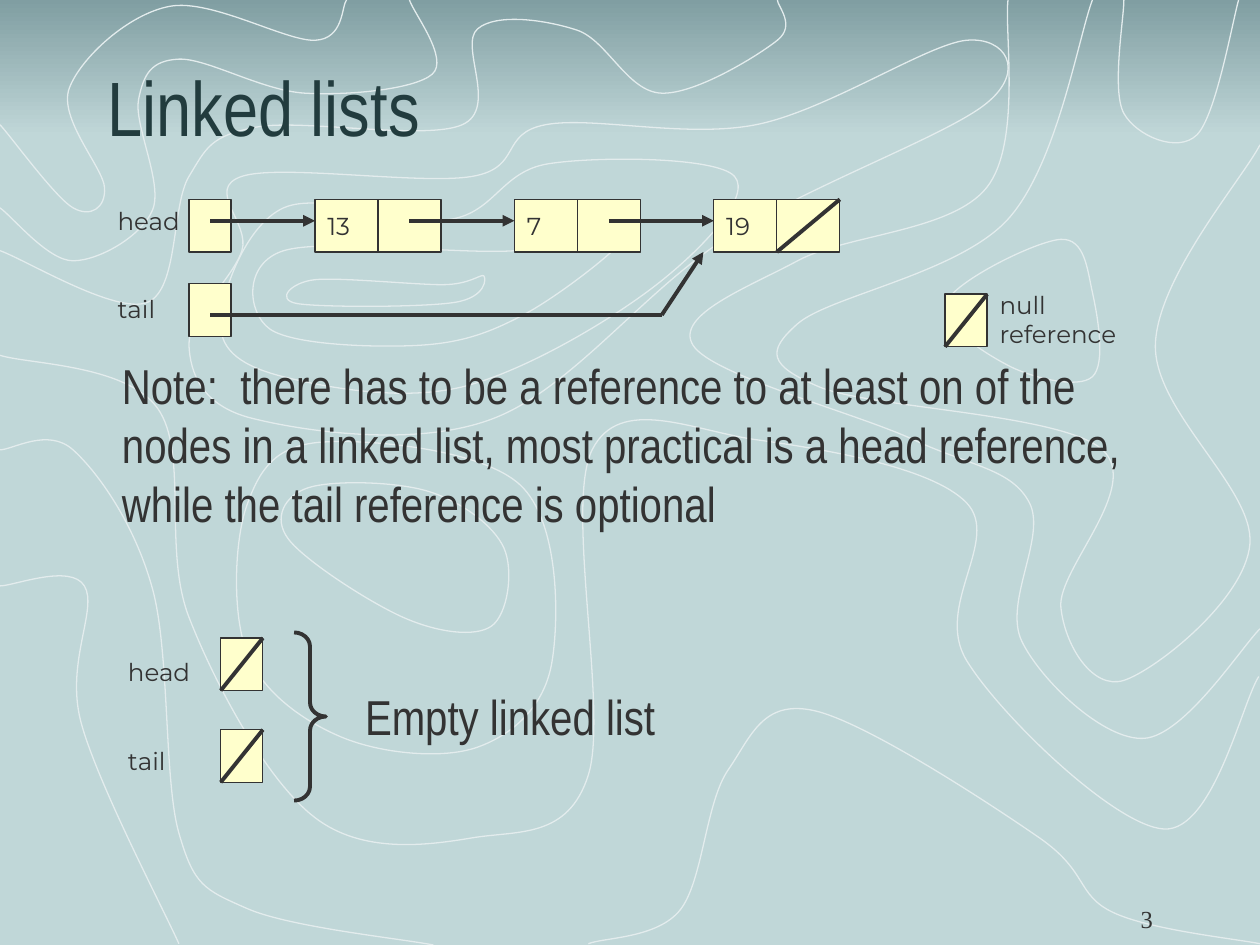
from pptx import Presentation
from pptx.dml.color import RGBColor
from pptx.enum.shapes import MSO_CONNECTOR, MSO_SHAPE
from pptx.enum.text import MSO_ANCHOR, MSO_AUTO_SIZE, PP_ALIGN
from pptx.oxml.ns import qn
from pptx.oxml.xmlchemy import OxmlElement
from pptx.util import Cm, Pt

BACKGROUND = RGBColor(0xC0, 0xD7, 0xD8)
BAND_TOP = RGBColor(0x80, 0x9E, 0xA2)
CONTOUR = RGBColor(0xE3, 0xEC, 0xED)
TITLE = RGBColor(0x22, 0x3C, 0x3E)
INK = RGBColor(0x33, 0x33, 0x33)
CELL = RGBColor(0xFF, 0xFF, 0xCC)

LABEL_FONT, BODY_FONT, NUMBER_FONT = "Montserrat", "Arial Narrow", "Times New Roman"
THIN, THICK = Pt(0.75), Pt(2.25)

# Diagram grid, in centimetres
CELL_WIDTH, CELL_HEIGHT = 0.85, 1.06
NODE_WIDTH, NODE_STEP = 2.54, 4.02
NODE_LEFT, NODE_TOP = 6.35, 4.02
REFERENCE_LEFT, TAIL_TOP = 3.81, 5.72
ARROW_Y, TAIL_Y = 4.45, 6.35

# Points that the smooth contours run through, in units of 0.25 mm
CONTOUR_UNIT = Cm(0.0254)
OPEN_CONTOURS = (
    ((0, 199), (117, 240), (150, 140), (203, 101), (367, 99), (379, 23), (458, 24), (525, 74), (617, 32), (617, 0)),
    ((0, 165), (58, 207), (121, 167), (110, 79), (142, 47), (242, 74), (343, 59), (325, 0)),
    ((0, 99), (58, 165), (83, 149), (55, 70), (135, 5), (250, 32), (275, 0)),
    ((0, 282), (125, 324), (150, 490), (250, 649), (375, 665), (467, 615), (470, 357), (600, 349), (767, 399),
     (767, 524), (924, 658), (999, 537)),
    ((800, 0), (783, 149), (633, 207), (550, 274), (725, 349), (817, 399), (811, 509), (908, 586), (1000, 499)),
    ((867, 0), (800, 174), (633, 257), (650, 307), (875, 357), (842, 482), (892, 540), (992, 432), (917, 274),
     (1000, 115)),
    ((892, 0), (892, 90), (950, 107), (983, 0)),
    ((0, 357), (58, 357), (121, 467), (142, 661), (196, 721), (344, 750)),
    ((0, 465), (67, 465), (64, 572), (142, 749)),
    ((467, 749), (540, 722), (578, 611), (646, 564), (825, 665), (883, 724), (1000, 749)),
)
CLOSED_CONTOURS = (
    ((192, 199), (192, 140), (375, 140), (433, 99), (600, 99), (767, 32), (783, 82), (575, 190), (392, 332),
     (200, 332), (150, 274)),
    ((175, 257), (225, 165), (358, 174), (435, 130), (583, 140), (521, 226), (367, 307), (225, 299)),
    ((214, 261), (225, 199), (408, 199), (500, 182), (417, 249), (333, 274)),
    ((236, 241), (250, 222), (351, 226), (384, 219), (361, 240)),
    ((254, 351), (196, 401), (196, 518), (271, 585), (379, 593), (438, 526), (413, 385)),
    ((229, 428), (245, 387), (340, 390), (400, 435), (390, 497), (320, 490)),
    ((867, 232), (842, 190), (751, 240), (800, 290), (867, 299)),
)


def curve_steps(points, closed):
    """Give the two handles and the end of each Catmull-Rom curve through the points."""
    count = len(points)

    def point(index):
        return points[index % count] if closed else points[max(0, min(index, count - 1))]

    for index in range(count if closed else count - 1):
        before, start, end, after = (point(index + shift) for shift in (-1, 0, 1, 2))
        yield [s + (e - b) / 6 for b, s, e in zip(before, start, end)]
        yield [e - (a - s) / 6 for s, e, a in zip(start, end, after)]
        yield end


def add_contour(shapes, points, closed):
    builder = shapes.build_freeform(*points[0], scale=CONTOUR_UNIT)
    builder.add_line_segments(list(curve_steps(points, closed)), close=closed)
    contour = builder.convert_to_shape()
    contour.fill.background()
    contour.line.color.rgb, contour.line.width = CONTOUR, THIN
    contour.shadow.inherit = False
    # Every three straight steps become one cubic curve
    steps = list(contour.element.iter(qn("a:lnTo")))
    for first in range(0, len(steps), 3):
        curve = OxmlElement("a:cubicBezTo")
        steps[first].addprevious(curve)
        for step in steps[first:first + 3]:
            curve.append(step[0])
            step.getparent().remove(step)


def add_scenery(slide, deck):
    shapes = slide.shapes.add_group_shape().shapes
    band = shapes.add_shape(MSO_SHAPE.RECTANGLE, 0, 0, deck.slide_width, Cm(2.74))
    band.shadow.inherit = False
    band.line.fill.background()
    band.fill.gradient()
    band.fill.gradient_angle = 270
    for stop, color in zip(band.fill.gradient_stops, (BAND_TOP, BACKGROUND)):
        stop.color.rgb = color
    for contours, closed in ((OPEN_CONTOURS, False), (CLOSED_CONTOURS, True)):
        for points in contours:
            add_contour(shapes, points, closed)


def format_text(frame, size, font, color=INK, align=PP_ALIGN.LEFT):
    frame.word_wrap = True
    for para in frame.paragraphs:
        para.alignment = align
        for span in para.runs:
            span.font.size, span.font.name = Pt(size), font
            span.font.color.rgb = color


def add_text(slide, text, left, top, width, height, size=14, font=LABEL_FONT, align=PP_ALIGN.LEFT):
    box = slide.shapes.add_textbox(Cm(left), Cm(top), Cm(width), Cm(height))
    box.text_frame.text = text
    format_text(box.text_frame, size, font, align=align)
    return box


def add_labels(slide, left, top):
    box = add_text(slide, "head\ntail", left, top, 2.12, 2.67)
    box.text_frame.paragraphs[1].space_before = Pt(34)


def add_line(slide, start, end, width=THICK, arrow=False):
    line = slide.shapes.add_connector(MSO_CONNECTOR.STRAIGHT, *(Cm(value) for value in start + end))
    line.line.color.rgb, line.line.width = INK, width
    if arrow:
        head = OxmlElement("a:tailEnd")
        head.set("type", "triangle")
        line.element.spPr.find(qn("a:ln")).append(head)
    line.element.spPr.append(OxmlElement("a:effectLst"))


def add_cell(slide, left, top, width=CELL_WIDTH):
    cell = slide.shapes.add_shape(MSO_SHAPE.RECTANGLE, Cm(left), Cm(top), Cm(width), Cm(CELL_HEIGHT))
    cell.shadow.inherit = False
    cell.fill.solid()
    cell.fill.fore_color.rgb = CELL
    cell.line.color.rgb, cell.line.width = INK, THIN
    return cell


def add_slash(slide, left, top, width=CELL_WIDTH):
    add_line(slide, (left, top + CELL_HEIGHT), (left + width, top))


def add_null_cell(slide, left, top):
    add_cell(slide, left, top)
    add_slash(slide, left, top)


def add_node(slide, value, left):
    node = add_cell(slide, left, NODE_TOP, NODE_WIDTH)
    node.text_frame.text = value
    node.text_frame.vertical_anchor = MSO_ANCHOR.MIDDLE
    format_text(node.text_frame, 14, LABEL_FONT)
    middle = left + NODE_WIDTH / 2
    add_line(slide, (middle, NODE_TOP), (middle, NODE_TOP + CELL_HEIGHT), THIN)


def add_linked_list(slide, values):
    add_labels(slide, 2.12, NODE_TOP)
    for top in (NODE_TOP, TAIL_TOP):
        add_cell(slide, REFERENCE_LEFT, top)
    lefts = [NODE_LEFT + NODE_STEP * index for index in range(len(values))]
    for value, left in zip(values, lefts):
        add_node(slide, value, left)
    reference_x = REFERENCE_LEFT + CELL_WIDTH / 2
    starts = [reference_x] + [left + NODE_WIDTH * 0.75 for left in lefts[:-1]]
    for start, left in zip(starts, lefts):
        add_line(slide, (start, ARROW_Y), (left, ARROW_Y), arrow=True)
    add_slash(slide, lefts[-1] + NODE_WIDTH / 2, NODE_TOP, NODE_WIDTH / 2)
    bend = (13.34, TAIL_Y)
    add_line(slide, (reference_x, TAIL_Y), bend)
    add_line(slide, bend, (14.18, NODE_TOP + CELL_HEIGHT), arrow=True)


def add_empty_list(slide):
    add_labels(slide, 2.33, 13.12)
    for top in (12.86, 14.71):
        add_null_cell(slide, 4.45, top)
    brace = slide.shapes.add_shape(MSO_SHAPE.RIGHT_BRACE, Cm(5.93), Cm(12.75), Cm(0.64), Cm(3.39))
    brace.adjustments[0] = 0.44
    brace.shadow.inherit = False
    brace.fill.background()
    brace.line.color.rgb, brace.line.width = INK, THICK
    add_text(slide, "Empty linked list", 7.11, 13.72, 6.56, 1.45, 28, BODY_FONT)


def set_title(slide, text):
    title = slide.shapes.title
    title.left, title.top, title.width, title.height = Cm(1.91), Cm(1.06), Cm(22.43), Cm(2.12)
    title.text_frame.text = text
    title.text_frame.auto_size = MSO_AUTO_SIZE.NONE
    title.text_frame.vertical_anchor = MSO_ANCHOR.BOTTOM
    format_text(title.text_frame, 44, BODY_FONT, TITLE)
    title.element.getparent().append(title.element)  # in front of the scenery


def main():
    deck = Presentation()
    deck.slide_width, deck.slide_height = Cm(25.4), Cm(19.05)
    slide = deck.slides.add_slide(deck.slide_layouts[5])
    slide.background.fill.solid()
    slide.background.fill.fore_color.rgb = BACKGROUND
    add_scenery(slide, deck)
    set_title(slide, "Linked lists")
    add_linked_list(slide, ("13", "7", "19"))
    add_null_cell(slide, 19.05, 5.93)
    add_text(slide, "null reference", 19.9, 5.72, 3.6, 1.45)
    add_text(slide, "Note:  there has to be a reference to at least on of the nodes in a linked list, "
             "most practical is a head reference, while the tail reference is optional",
             2.21, 7.04, 21.72, 3.81, 28, BODY_FONT)
    add_empty_list(slide)
    number = add_text(slide, "3", 18.2, 17.67, 5.29, 1.27, 14, NUMBER_FONT, PP_ALIGN.RIGHT)
    number.text_frame.vertical_anchor = MSO_ANCHOR.BOTTOM
    deck.save("out.pptx")


if __name__ == "__main__":
    main()
